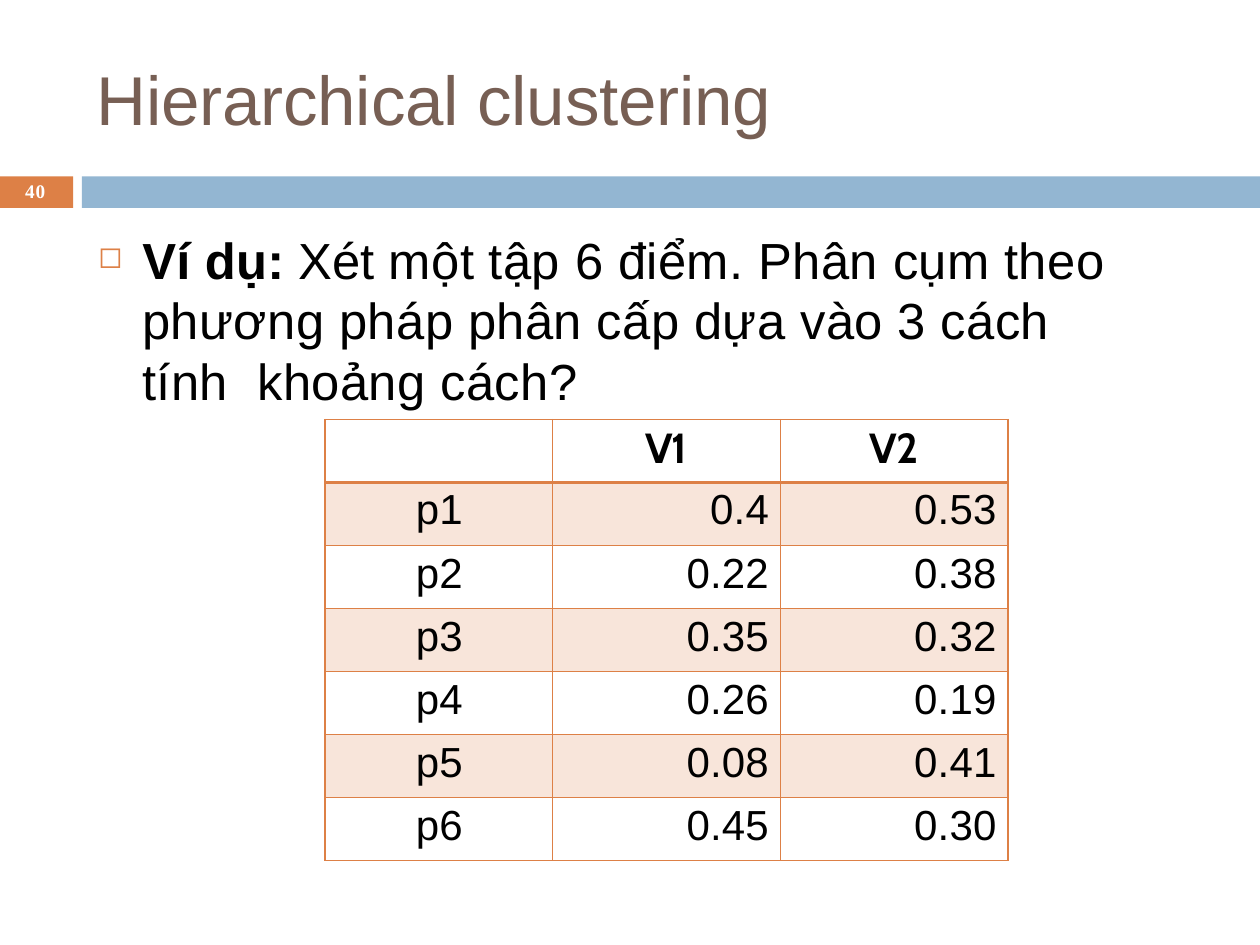
from typing import NamedTuple

from lxml import etree
from pptx import Presentation
from pptx.dml.color import RGBColor
from pptx.enum import shapes, text
from pptx.oxml import ns
from pptx import util as u

COLORS = {
    "orange": "DD8046",
    "blue": "93B6D2",
    "brown": "775F54",
    "peach": "F8E5DA",
    "white": "FFFFFF",
    "black": "000000",
}


class Box(NamedTuple):
    left: float
    top: float
    width: float
    height: float


class Band(NamedTuple):
    box: Box
    color: str


class Span(NamedTuple):
    words: str
    bold: bool = False
    spacing: float = 0


BANDS = [
    Band(Box(0, 1.4, 0.58, 0.25), "orange"),
    Band(Box(0.65, 1.4, 9.35, 0.25), "blue"),
]
POINTS = [
    ("", "V1", "V2"),
    ("p1", "0.4", "0.53"),
    ("p2", "0.22", "0.38"),
    ("p3", "0.35", "0.32"),
    ("p4", "0.26", "0.19"),
    ("p5", "0.08", "0.41"),
    ("p6", "0.45", "0.30"),
]
EXAMPLE = [
    Span("Ví dụ: ", True, 0.1),
    Span("Xét ", False, -0.1),
    Span("một tập 6 điểm. Phân cụm theo phương pháp phân cấp dựa vào 3 cách "
         "tính  khoảng cách?", False, 0.23),
]


def rgb(color: str) -> RGBColor:
    """Return the named colour."""
    return RGBColor.from_string(COLORS[color])


def add_node(parent, tag: str, **attributes):
    """Append a DrawingML element and return it."""
    return etree.SubElement(parent, ns.qn(tag), attributes)


def write(frame, spans: list[Span], *, size: float, font: str = "Arial", color: str = "black",
          align=text.PP_ALIGN.LEFT, before: float = 0, leading: float | None = None,
          indent: float = 0, hanging: float = 0, bullet: str = "") -> None:
    """Fill the first paragraph of a text frame with formatted spans."""
    paragraph = frame.paragraphs[0]
    paragraph.alignment = align
    paragraph.space_before = u.Pt(before)
    if leading:
        paragraph.line_spacing = u.Pt(leading)
    layout = paragraph._p.get_or_add_pPr()
    layout.set("marL", str(u.Inches(indent)))
    layout.set("indent", str(u.Inches(-hanging)))
    if bullet:
        add_node(add_node(layout, "a:buClr"), "a:srgbClr", val=COLORS["orange"])
        add_node(layout, "a:buSzPct", val="59000")
        add_node(layout, "a:buChar", char=bullet)
    for span in spans:
        run = paragraph.add_run()
        run.text = span.words
        run.font.name = font
        run.font.size = u.Pt(size)
        run.font.bold = span.bold
        run.font.color.rgb = rgb(color)
        run._r.get_or_add_rPr().set("spc", str(round(span.spacing * 100)))


def draw_band(slide, band: Band) -> None:
    """Draw a plain coloured band."""
    strip = slide.shapes.add_shape(shapes.MSO_SHAPE.RECTANGLE, *map(u.Inches, band.box))
    strip.shadow.inherit = False
    strip.fill.solid()
    strip.fill.fore_color.rgb = rgb(band.color)
    strip.line.fill.background()


def draw_text(slide, box: Box, spans: list[Span], inset: float = 0.02, **style) -> None:
    """Draw a wrapped text box."""
    frame = slide.shapes.add_textbox(*map(u.Inches, box)).text_frame
    frame.word_wrap = True
    frame.margin_left = frame.margin_right = frame.margin_bottom = 0
    frame.margin_top = u.Inches(inset)
    write(frame, spans, **style)


def draw_borders(cell, widths: dict[str, float]) -> None:
    """Outline a cell with orange lines of the given widths."""
    properties = cell._tc.get_or_add_tcPr()
    for side, width in widths.items():
        line = add_node(properties, f"a:ln{side}", w=str(u.Pt(width)))
        add_node(add_node(line, "a:solidFill"), "a:srgbClr", val=COLORS["orange"])


def draw_points(slide, box: Box) -> None:
    """Draw the table of points with banded rows."""
    grid = slide.shapes.add_table(len(POINTS), len(POINTS[0]), *map(u.Inches, box)).table
    grid.first_row = grid.horz_banding = False
    for row, values in enumerate(POINTS):
        for column, value in enumerate(values):
            cell = grid.cell(row, column)
            cell.margin_left = cell.margin_bottom = 0
            cell.margin_right = u.Inches(0.09 if row and column else 0)
            cell.margin_top = u.Inches(0.04 if row > 1 else 0.03)
            draw_borders(cell, {"L": 1, "R": 1, "T": 2.25 if row == 1 else 1,
                                "B": 2.25 if row == 0 else 1})
            if row % 2:
                cell.fill.solid()
                cell.fill.fore_color.rgb = rgb("peach")
            else:
                cell.fill.background()
            if row == 0:
                style = {"font": "Cabin", "align": text.PP_ALIGN.CENTER}
            elif column == 0:
                style = {"indent": 0.72}
            else:
                style = {"align": text.PP_ALIGN.RIGHT}
            if value:
                span = Span(value, row == 0, 0.1 if row else -0.8)
                write(cell.text_frame, [span], size=24, before=2.5, **style)


def main() -> None:
    """Build the slide and save it."""
    deck = Presentation()
    deck.slide_width, deck.slide_height = u.Inches(10), u.Inches(7.5)
    slide = deck.slides.add_slide(deck.slide_layouts[6])
    for band in BANDS:
        draw_band(slide, band)
    draw_text(slide, Box(0.76, 0.43, 5.6, 0.69), [Span("Hierarchical clustering", False, -0.15)],
              size=39.5, color="brown", before=1.3, indent=0.01)
    draw_text(slide, Box(0.19, 1.4, 0.2, 0.22), [Span("40", True, 0.5)], size=11,
              font="Times New Roman", color="white", before=1.2, indent=0.01)
    draw_text(slide, Box(0.76, 1.78, 8.26, 1.48), EXAMPLE, inset=0.04, size=29, before=2.7,
              leading=34.5, indent=0.37, hanging=0.35, bullet="◻")
    draw_points(slide, Box(2.58, 3.33, 5.42, 3.5))
    deck.save("out.pptx")


if __name__ == "__main__":
    main()
